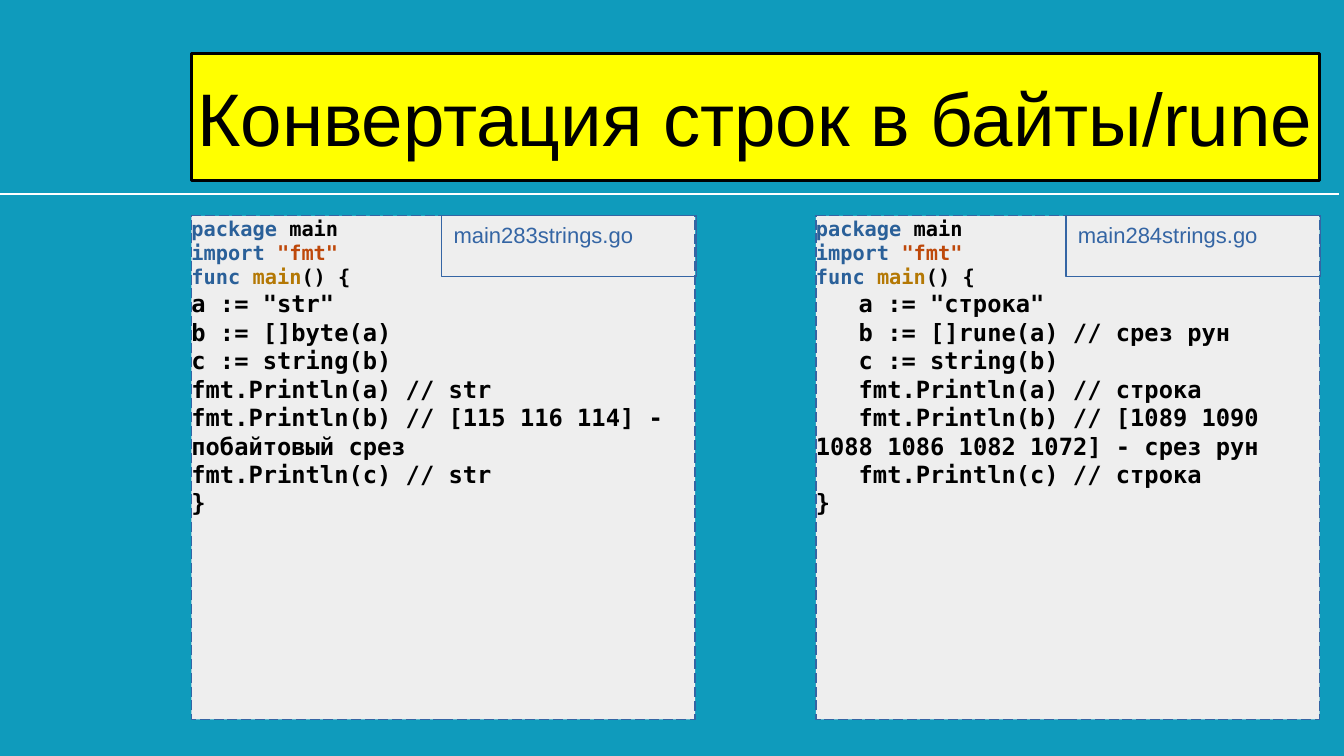
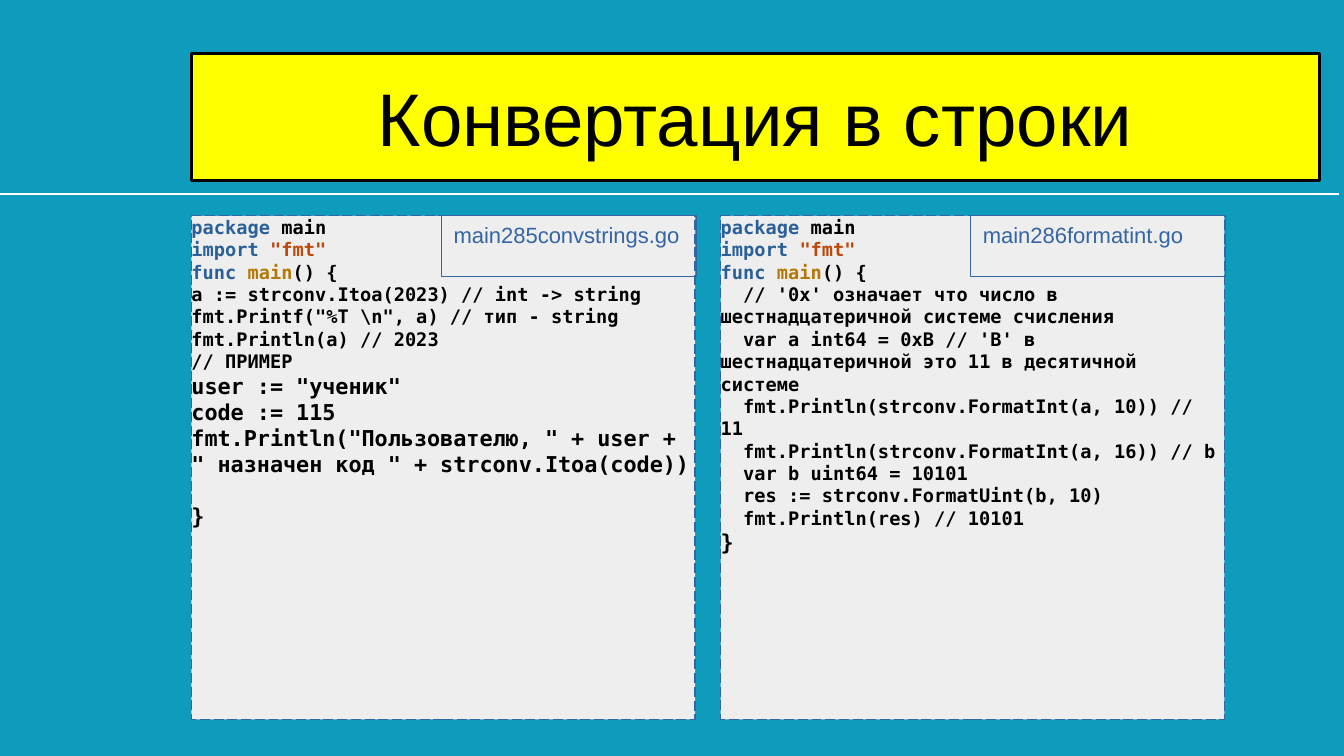
from pptx import Presentation
from pptx.dml.color import RGBColor
from pptx.enum.dml import MSO_LINE
from pptx.enum.shapes import MSO_CONNECTOR, MSO_SHAPE
from pptx.enum.text import MSO_ANCHOR as Anchor, PP_ALIGN as Align
from pptx.oxml.ns import qn
from pptx.util import Inches, Pt
from lxml import etree

COLORS = {
    "background": "0F9BBC",
    "title": "FFFF00",
    "panel": "EEEEEE",
    "outline": "3465A4",
    "rule": "FFFFFF",
    "text": "000000",
    "keyword": "2A6099",
    "string": "BE480A",
    "function": "B47804",
}
TITLE_FONT = "Arial"
CODE_FONT = "DejaVu Sans Mono"
CHARACTER_WIDTH = 0.602
LINE_HEIGHT = 1.164

LEFT = 1.57
PANEL_TOP = 1.77
PANEL_SIZE = 4.13
LABEL_OFFSET = 2.05
LABEL_WIDTH = 2.09

HEADER = [
    [("package", "keyword"), (" main", "text")],
    [("import ", "keyword"), ('"fmt"', "string")],
    [("func ", "keyword"), ("main", "function"), ("() {", "text")],
]


def color(name):
    return RGBColor.from_string(COLORS[name])


def add_run(paragraph, text, size, font, color_name, bold=False):
    run = paragraph.add_run()
    run.text = text
    run.font.size = Pt(size)
    run.font.name = font
    run.font.bold = bold
    run.font.color.rgb = color(color_name)


def add_box(shapes, left, top, width, height, fill, line, line_width, margins=(0, 0)):
    shape = shapes.add_shape(MSO_SHAPE.RECTANGLE, Inches(left), Inches(top),
                             Inches(width), Inches(height))
    shape.shadow.inherit = False
    if fill:
        shape.fill.solid()
        shape.fill.fore_color.rgb = color(fill)
    else:
        shape.fill.background()
    shape.line.color.rgb = color(line)
    shape.line.width = Pt(line_width)
    frame = shape.text_frame
    frame.word_wrap = True
    frame.vertical_anchor = Anchor.TOP
    frame.margin_left = frame.margin_right = Inches(margins[0])
    frame.margin_top = frame.margin_bottom = Inches(margins[1])
    frame.paragraphs[0].alignment = Align.LEFT
    return shape


def add_rule(slide):
    rule = slide.shapes.add_connector(MSO_CONNECTOR.STRAIGHT, 0, Inches(1.59),
                                      Inches(10.98), Inches(1.59))
    rule.line.color.rgb = color("rule")
    rule.line.width = Pt(1.5)
    etree.SubElement(rule._element.spPr, qn("a:effectLst"))


def add_title(slide, text):
    shape = add_box(slide.shapes, LEFT, 0.44, 9.25, 1.04, "title", "text", 1.5)
    shape.text_frame.vertical_anchor = Anchor.MIDDLE
    paragraph = shape.text_frame.paragraphs[0]
    paragraph.alignment = Align.CENTER
    add_run(paragraph, text, 44, TITLE_FONT, "text")


def add_code_line(frame, runs, size, indent=0, blank_before=False):
    first = frame.paragraphs[0]
    paragraph = frame.add_paragraph() if first.runs else first
    paragraph.alignment = Align.LEFT
    if indent:
        width = Pt(indent * CHARACTER_WIDTH * size)
        paragraph._p.get_or_add_pPr().set("indent", str(width))
    if blank_before:
        paragraph.space_before = Pt(round(size * LINE_HEIGHT, 1))
    for text, color_name in runs:
        add_run(paragraph, text, size, CODE_FONT, color_name, bold=True)


def add_code_panel(slide, left, file_name, header_size, body, indent=0, gap_at_end=False):
    shapes = slide.shapes.add_group_shape().shapes
    panel = add_box(shapes, left, PANEL_TOP, PANEL_SIZE, PANEL_SIZE, "panel", "outline", 0)
    panel.line.dash_style = MSO_LINE.LONG_DASH
    frame = panel.text_frame
    for runs in HEADER:
        add_code_line(frame, runs, header_size)
    for size, lines in body:
        for line in lines:
            closing = line == "}"
            add_code_line(frame, [(line, "text")], size, 0 if closing else indent,
                          closing and gap_at_end)
    label = add_box(shapes, left + LABEL_OFFSET, PANEL_TOP, LABEL_WIDTH, 0.5,
                    None, "outline", 0, (0.1, 0.05))
    add_run(label.text_frame.paragraphs[0], file_name, 13, TITLE_FONT, "outline")


def add_slide(presentation, title):
    slide = presentation.slides.add_slide(presentation.slide_layouts[6])
    slide.background.fill.solid()
    slide.background.fill.fore_color.rgb = color("background")
    add_rule(slide)
    add_title(slide, title)
    return slide


def main():
    presentation = Presentation()
    presentation.slide_width = Inches(11.02)
    presentation.slide_height = Inches(6.2)

    slide = add_slide(presentation, "Конвертация строк в байты/rune")
    add_code_panel(slide, LEFT, "main283strings.go", 12, [(14, [
        'a := "str"',
        "b := []byte(a)",
        "c := string(b)",
        "fmt.Println(a) // str",
        "fmt.Println(b) // [115 116 114] - побайтовый срез",
        "fmt.Println(c) // str",
        "}",
    ])])
    add_code_panel(slide, 6.69, "main284strings.go", 12, [(14, [
        'a := "строка"',
        "b := []rune(a) // срез рун",
        "c := string(b)",
        "fmt.Println(a) // строка",
        "fmt.Println(b) // [1089 1090 1088 1086 1082 1072] - срез рун",
        "fmt.Println(c) // строка",
        "}",
    ])], indent=3)

    slide = add_slide(presentation, "Конвертация в строки")
    add_code_panel(slide, LEFT, "main285convstrings.go", 11, [
        (11, [
            "a := strconv.Itoa(2023) // int -> string",
            'fmt.Printf("%T \\n", a) // тип - string',
            "fmt.Println(a) // 2023",
            "// ПРИМЕР",
        ]),
        (12.9, [
            'user := "ученик"',
            "code := 115",
            'fmt.Println("Пользователю, " + user + " назначен код " + strconv.Itoa(code))',
            "}",
        ]),
    ], gap_at_end=True)
    add_code_panel(slide, 5.91, "main286formatint.go", 11, [
        (11, [
            "// '0x' означает что число в шестнадцатеричной системе счисления",
            "var a int64 = 0xB // 'B' в шестнадцатеричной это 11 в десятичной системе",
            "fmt.Println(strconv.FormatInt(a, 10)) // 11",
            "fmt.Println(strconv.FormatInt(a, 16)) // b",
            "var b uint64 = 10101",
            "res := strconv.FormatUint(b, 10)",
            "fmt.Println(res) // 10101",
        ]),
        (12.9, ["}"]),
    ], indent=2)

    presentation.save("out.pptx")


if __name__ == "__main__":
    main()
